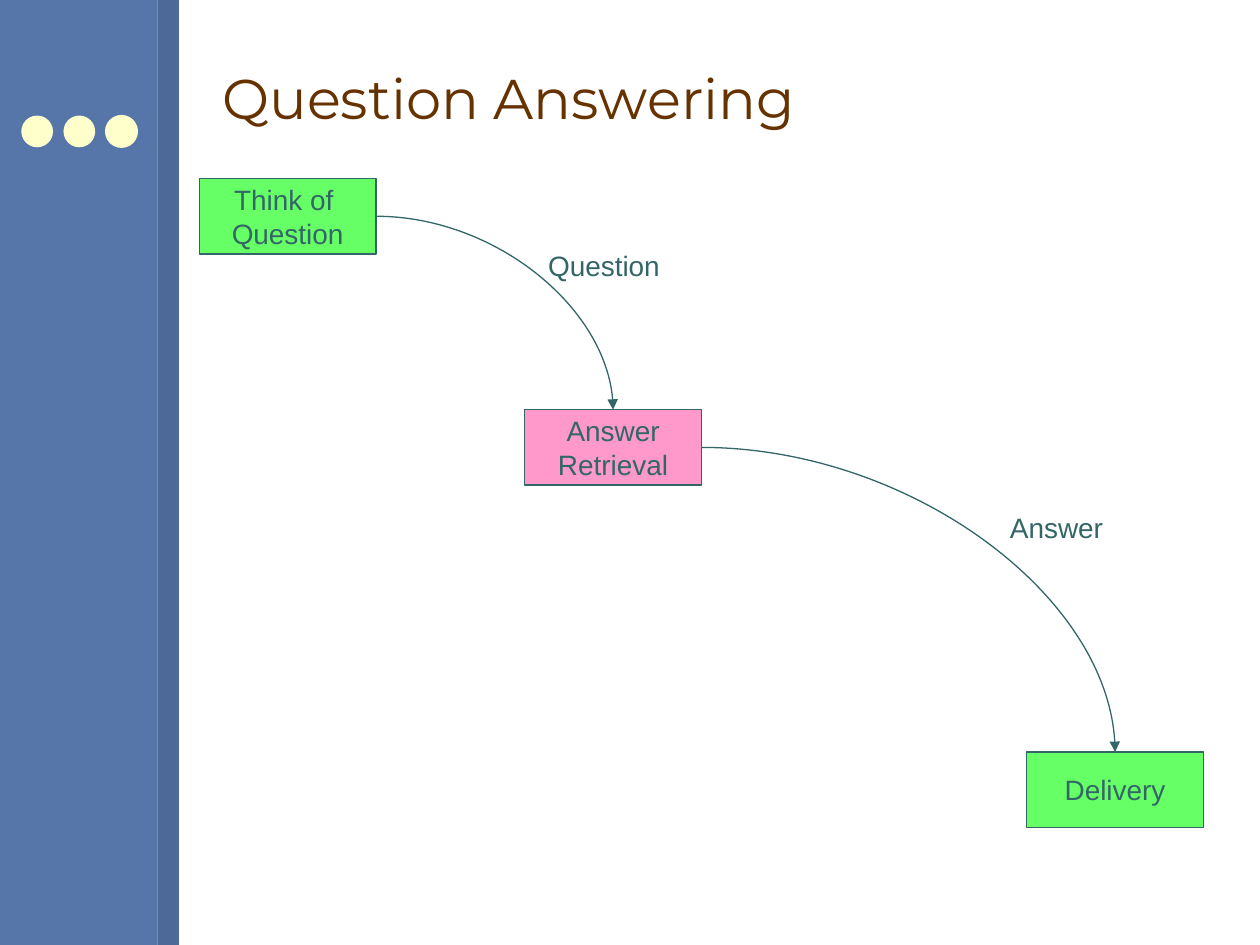
from lxml import etree
from pptx import Presentation
from pptx.dml.color import RGBColor
from pptx.enum.shapes import MSO_CONNECTOR, MSO_SHAPE
from pptx.enum.text import MSO_ANCHOR, MSO_AUTO_SIZE, PP_ALIGN
from pptx.oxml.ns import qn
from pptx.util import Cm, Pt

RECT, OVAL = MSO_SHAPE.RECTANGLE, MSO_SHAPE.OVAL
CURVE = MSO_CONNECTOR.CURVE
LEFT, CENTER = PP_ALIGN.LEFT, PP_ALIGN.CENTER
TOP, MIDDLE = MSO_ANCHOR.TOP, MSO_ANCHOR.MIDDLE
SIDE_TOP, SIDE_RIGHT = 0, 3

THEME = {
    "panel": RGBColor(0x56, 0x75, 0xA9),
    "stripe": RGBColor(0x4D, 0x69, 0x97),
    "dot": RGBColor(0xFF, 0xFF, 0xCC),
    "user": RGBColor(0x66, 0xFF, 0x66),
    "system": RGBColor(0xFF, 0x99, 0xCC),
    "line": RGBColor(0x33, 0x66, 0x66),
    "line_width": Pt(0.75),
    "title_font": {"name": "Montserrat", "size": Pt(32),
                   "color": RGBColor(0x66, 0x33, 0x00)},
    "body_font": {"name": "Arial", "size": Pt(16),
                  "color": RGBColor(0x33, 0x66, 0x66)},
}

TITLE = ("Question Answering", (4.23, 0.53, 20.32, 2.87))
BARS = [("panel", 0, 3.18), ("stripe", 3.18, 0.43)]
DOTS = {"count": 3, "left": 0.43, "top": 2.33, "size": 0.64, "step": 0.85}
BOX_SIZE = (3.56, 1.52)
STEPS = [
    (["Think of ", "Question"], "user", (4.02, 3.6)),
    (["Answer", "Retrieval"], "system", (10.58, 8.26)),
    (["Delivery"], "user", (20.7, 15.16)),
]
LABELS = [
    ("Question", (10.8, 4.88, 3.18, 0.93), True),
    ("Answer", (20.11, 10.16, 2.38, 0.93), False),
]


def place(box):
    return [Cm(v) for v in box]


def write(sp, lines, font, align, anchor, wrap):
    tf = sp.text_frame
    frame = {"word_wrap": wrap, "vertical_anchor": anchor,
             "auto_size": MSO_AUTO_SIZE.NONE}
    for name, value in frame.items():
        setattr(tf, name, value)
    for i, line in enumerate(lines):
        p = tf.paragraphs[0] if i == 0 else tf.add_paragraph()
        p.alignment = align
        r = p.add_run()
        r.text = line
        for name in ("name", "size"):
            setattr(r.font, name, font[name])
        r.font.color.rgb = font["color"]


def add_filled(s, kind, box, fill, outline=None):
    sp = s.shapes.add_shape(kind, *place(box))
    sp.shadow.inherit = False
    sp.fill.solid()
    sp.fill.fore_color.rgb = THEME[fill]
    if outline:
        sp.line.color.rgb = THEME[outline]
        sp.line.width = THEME["line_width"]
    else:
        sp.line.fill.background()
    return sp


def add_arrow(s, start, end):
    x1, y1 = start.left + start.width, start.top + start.height // 2
    x2, y2 = end.left + end.width // 2, end.top
    c = s.shapes.add_connector(CURVE, x1, y1, x2, y2)
    c.begin_connect(start, SIDE_RIGHT)
    c.end_connect(end, SIDE_TOP)
    c.line.color.rgb = THEME["line"]
    c.line.width = THEME["line_width"]
    pr = c._element.spPr
    pr.find(qn("a:prstGeom")).set("prst", "curvedConnector2")
    etree.SubElement(pr.find(qn("a:ln")), qn("a:tailEnd"), type="triangle")
    etree.SubElement(pr, qn("a:effectLst"))


def main():
    prs = Presentation()
    prs.slide_width, prs.slide_height = Cm(25.4), Cm(19.05)
    s = prs.slides.add_slide(prs.slide_layouts[5])

    for fill, left, width in BARS:
        add_filled(s, RECT, (left, 0, width, 19.05), fill)
    for i in range(DOTS["count"]):
        left = DOTS["left"] + i * DOTS["step"]
        last = i == DOTS["count"] - 1
        add_filled(s, OVAL, (left, DOTS["top"], DOTS["size"], DOTS["size"]),
                   "dot", "dot" if last else None)

    text, box = TITLE
    title = s.shapes.title
    title.left, title.top, title.width, title.height = place(box)
    write(title, [text], THEME["title_font"], LEFT, MIDDLE, True)

    boxes = []
    for lines, fill, corner in STEPS:
        sp = add_filled(s, RECT, corner + BOX_SIZE, fill, "line")
        write(sp, lines, THEME["body_font"], CENTER, MIDDLE, False)
        boxes.append(sp)
    for start, end in zip(boxes, boxes[1:]):
        add_arrow(s, start, end)
    for text, box, wrap in LABELS:
        sp = s.shapes.add_textbox(*place(box))
        write(sp, [text], THEME["body_font"], LEFT, TOP, wrap)

    prs.save("out.pptx")


if __name__ == "__main__":
    main()
